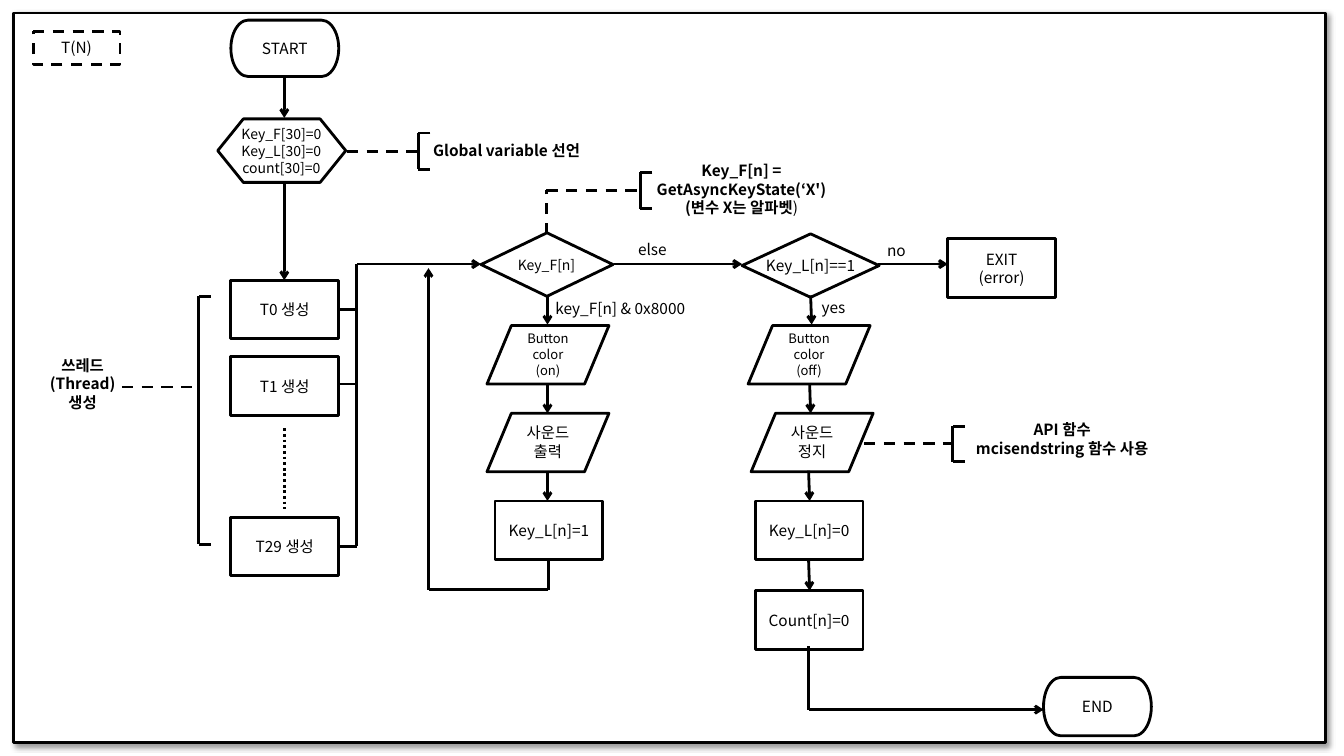
from lxml.etree import SubElement
from pptx import Presentation
from pptx.dml.color import RGBColor
from pptx.enum.dml import MSO_LINE
from pptx.enum.shapes import MSO_CONNECTOR, MSO_SHAPE
from pptx.enum.text import MSO_ANCHOR, PP_ALIGN
from pptx.oxml.ns import qn
from pptx.util import Pt

PX = 9144
FONT = "Noto Sans CJK KR"
INK, PAPER = "000000", "FFFFFF"
DASH, DOT = MSO_LINE.DASH, MSO_LINE.ROUND_DOT
BOX = MSO_SHAPE.FLOWCHART_PROCESS
TEST = MSO_SHAPE.FLOWCHART_DECISION
DATA = MSO_SHAPE.FLOWCHART_DATA
CAP = MSO_SHAPE.FLOWCHART_TERMINATOR
PREP = MSO_SHAPE.FLOWCHART_PREPARATION

WIDE, HIGH = 107, 58
STEPS = [
    (CAP, 229, 20, 56, ["START"]),
    (BOX, 229, 278, HIGH, ["T0 생성"]),
    (BOX, 229, 354, HIGH, ["T1 생성"]),
    (BOX, 229, 513, HIGH, ["T29 생성"]),
    (BOX, 491, 497, HIGH, ["Key_L[n]=1"]),
    (BOX, 749, 497, HIGH, ["Key_L[n]=0"]),
    (BOX, 749, 586, HIGH, ["Count[n]=0"]),
    (BOX, 940, 237, HIGH, ["EXIT", "(error)"]),
    (CAP, 1035, 672, HIGH, ["END"]),
]
FORMS = [
    (PREP, (216, 118, 127, 63), 112, 79, 10, ["Key_F[30]=0", "Key_L[30]=0", "count[30]=0"]),
    (TEST, (477, 231, 131, 63), 112, 79, 10, ["Key_F[n]"]),
    (TEST, (736, 232, 136, 63), 120, 47, 11, ["Key_L[n]==1"]),
    (DATA, (483, 323, 121, HIGH), 93, 47, 9.3, ["Button color", "(on)"]),
    (DATA, (483, 410, 121, HIGH), 93, 47, 11, ["사운드", "출력"]),
    (DATA, (742, 323, 121, HIGH), 93, 47, 9.3, ["Button color", "(off)"]),
    (DATA, (745, 410, 121, HIGH), 93, 47, 11, ["사운드", "정지"]),
]
LABELS = [
    ((541, 292, 162, 29), "key_F[n] & 0x8000"),
    ((623, 233, 65, 29), "else"),
    ((805, 291, 65, 29), "yes"),
    ((870, 234, 47, 29), "no"),
]
NOTES = [
    ((401, 118, 203, 63), ["Global variable 선언"]),
    ((618, 156, 235, 63), ["Key_F[n] = GetAsyncKeyState(‘X')", ("(변수 X는 알파벳", ")")]),
    ((21, 349, 122, 63), ["쓰레드(Thread)", "생성"]),
    ((936, 404, 235, 63), ["API 함수", "mcisendstring 함수 사용"]),
]
CLAMPS = [(415, 132, 168), (635, 171, 207), (197, 294, 540), (945, 423, 458)]
LINKS = [
    [(344, 150), (415, 150)],
    [(542, 232), (542, 189), (635, 189)],
    [(121, 384), (197, 384)],
    [(857, 440), (945, 440)],
]
FLOWS = [
    [(282, 76), (282, 117)],
    [(282, 181), (282, 278)],
    [(354, 542), (354, 262), (477, 262)],
    [(544, 555), (544, 585), (425, 585), (425, 266)],
    [(609, 262), (736, 262)],
    [(871, 262), (940, 262)],
    [(543, 293), (543, 322)],
    [(543, 380), (543, 410)],
    [(543, 467), (543, 497)],
    [(804, 293), (805, 322)],
    [(803, 380), (804, 410)],
    [(802, 467), (803, 497)],
    [(802, 556), (803, 586)],
    [(802, 641), (802, 704), (1035, 704)],
]
STUBS = [307, 381, 542]

deck = Presentation()
deck.slide_width, deck.slide_height = 1333 * PX, 750 * PX
slide = deck.slides.add_slide(deck.slide_layouts[6])
items = slide.shapes


def tint(code):
    return RGBColor.from_string(code)


def scale(*nums):
    return [n * PX for n in nums]


def write(shape, paras, size=11, bold=False, align=PP_ALIGN.CENTER, anchor=MSO_ANCHOR.MIDDLE):
    frame = shape.text_frame
    frame.word_wrap = True
    frame.vertical_anchor = anchor
    for i, para in enumerate(paras):
        p = frame.paragraphs[0] if i == 0 else frame.add_paragraph()
        p.alignment = align
        parts = (para,) if isinstance(para, str) else para
        for j, part in enumerate(parts):
            run = p.add_run()
            run.text = part
            font = run.font
            font.size, font.name = Pt(size), FONT
            font.bold = bold and j == 0
            font.color.rgb = tint(INK)
            SubElement(run._r.get_or_add_rPr(), qn("a:ea"), typeface=FONT)


def note(box, paras, **look):
    write(items.add_textbox(*scale(*box)), paras, **look)


def draw(kind, box, dash=None):
    shape = items.add_shape(kind, *scale(*box))
    shape.shadow.inherit = False
    shape.fill.solid()
    shape.fill.fore_color.rgb = tint(PAPER)
    stroke(shape.line, dash)
    return shape


def stroke(line, dash):
    line.color.rgb = tint(INK)
    line.width = Pt(2)
    if dash:
        line.dash_style = dash


def trace(points, dash=None, arrow=False):
    for start, end in zip(points, points[1:]):
        wire = items.add_connector(MSO_CONNECTOR.STRAIGHT, *scale(*start, *end))
        stroke(wire.line, dash)
        SubElement(wire._element.spPr, qn("a:effectLst"))
    if arrow:
        SubElement(wire.line._get_or_add_ln(), qn("a:tailEnd"), type="arrow")


def shade(shape):
    effects = shape._element.spPr.find(qn("a:effectLst"))
    cast = SubElement(effects, qn("a:outerShdw"), blurRad=str(Pt(4)), dist=str(Pt(3)),
                      dir="2700000", algn="tl", rotWithShape="0")
    color = SubElement(cast, qn("a:srgbClr"), val=INK)
    SubElement(color, qn("a:alpha"), val="40000")


shade(draw(MSO_SHAPE.RECTANGLE, (13, 13, 1302, 724)))
write(draw(BOX, (33, 31, 86, 33), DASH), ["T(N)"])
for kind, x, y, h, paras in STEPS:
    write(draw(kind, (x, y, WIDE, h)), paras)
for kind, box, w, h, size, paras in FORMS:
    draw(kind, box)
    x, y, wide, high = box
    note((x + (wide - w) // 2, y + (high - h) // 2, w, h), paras, size=size)
for box, text in LABELS:
    note(box, [text], align=PP_ALIGN.LEFT, anchor=MSO_ANCHOR.TOP)
for box, paras in NOTES:
    note(box, paras, bold=True)
for x, top, low in CLAMPS:
    trace([(x + 12, top), (x, top), (x, low), (x + 12, low)])
for points in LINKS:
    trace(points, dash=DASH)
for points in FLOWS:
    trace(points, arrow=True)
for y in STUBS:
    trace([(336, y), (354, y)])
trace([(282, 425), (282, 505)], dash=DOT)

deck.save("out.pptx")
